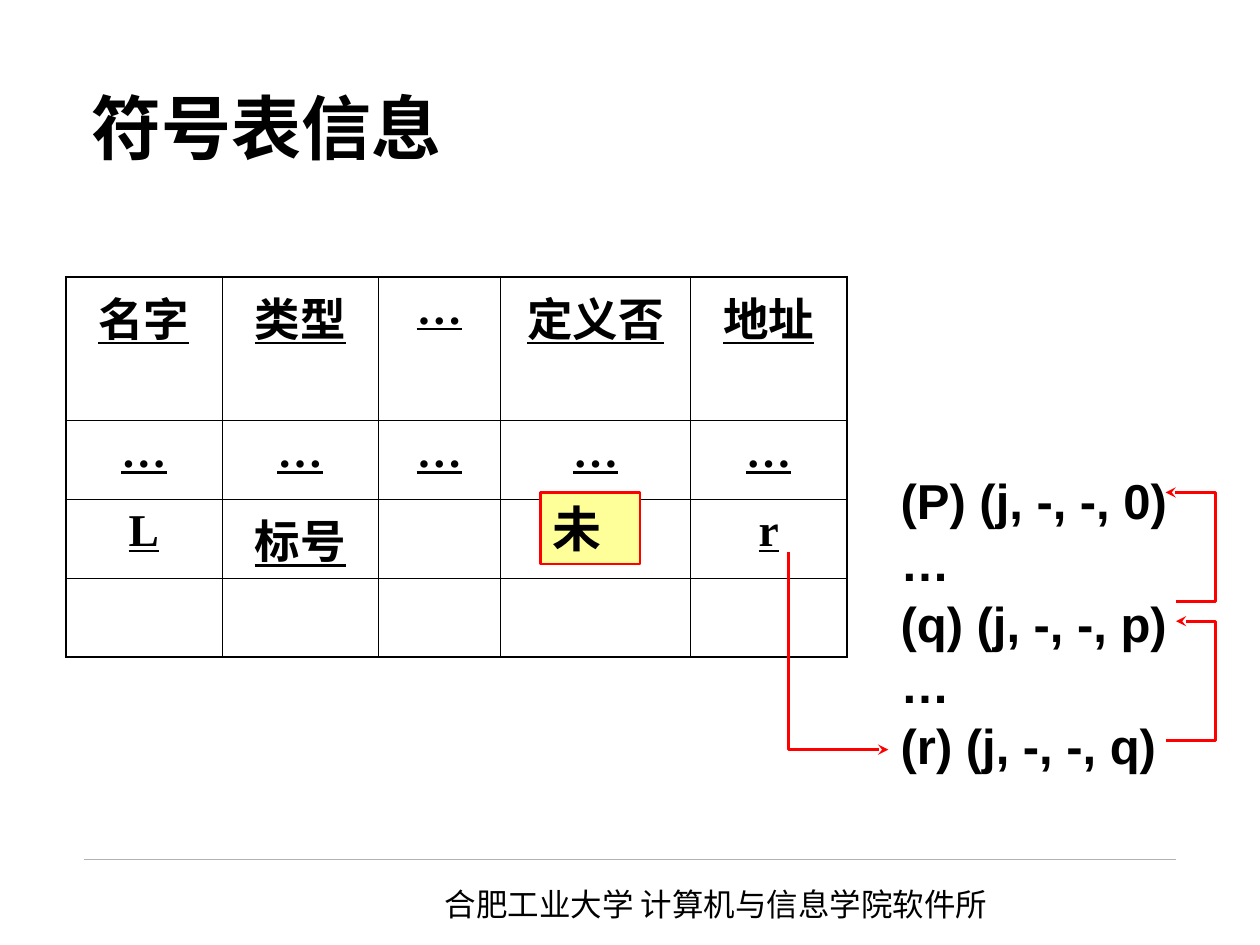
from lxml import etree
from pptx import Presentation
from pptx.dml.color import RGBColor
from pptx.enum.shapes import MSO_CONNECTOR, MSO_SHAPE
from pptx.enum.text import MSO_ANCHOR, PP_ALIGN
from pptx.oxml.ns import qn
from pptx.util import Pt

STRAIGHT = MSO_CONNECTOR.STRAIGHT
RECTANGLE = MSO_SHAPE.RECTANGLE
TOP, MIDDLE = MSO_ANCHOR.TOP, MSO_ANCHOR.MIDDLE
LEFT, CENTER = PP_ALIGN.LEFT, PP_ALIGN.CENTER
COLORS = {"text": "000000", "arrow": "FF0000", "mark": "FFFF99", "rule": "B2B2B2"}
CJK = "Noto Sans CJK SC"
TITLE = {"name": "DejaVu Sans", "size": Pt(40), "bold": True}
CELL = {"name": "Times New Roman", "size": Pt(26), "bold": True, "underline": True}
CODE = {"name": "Arial", "size": Pt(28), "bold": True}
FOOTER = {"name": CJK, "size": Pt(18)}
ROWS = [
    ["名字", "类型", "…", "定义否", "地址"],
    ["…"] * 5,
    ["L", "标号", "", "", "r"],
    [""] * 5,
]
COL_WIDTHS = [89.3, 89.3, 69.8, 108.7, 89.3]
ROW_HEIGHTS = [82, 45, 45, 45]
QUADS = ["(P) (j, -, -, 0)", "…", "(q) (j, -, -, p)", "…", "(r) (j, -, -, q)"]
ARROWS = [
    [(450.7, 315.4), (450.7, 428.4), (507.6, 428.4)],
    [(666, 423.2), (694.6, 423.2), (694.6, 355), (672, 355)],
    [(672, 343.6), (694.6, 343.6), (694.6, 281.4), (666, 281.4)],
]


class Painter:
    """Draws styled elements on the current slide."""

    def __init__(self, slide):
        self.s = slide

    def color(self, key):
        return RGBColor.from_string(COLORS[key])

    def fill_text(self, tf, lines, style, anchor=TOP, align=None, spacing=None):
        tf.word_wrap = True
        tf.vertical_anchor = anchor
        for i, line in enumerate(lines):
            p = tf.add_paragraph() if i else tf.paragraphs[0]
            p.alignment = align
            p.line_spacing = spacing
            r = p.add_run()
            r.text = line
            for name, value in style.items():
                setattr(r.font, name, value)
            r.font.color.rgb = self.color("text")
            etree.SubElement(r._r.get_or_add_rPr(), qn("a:ea"), typeface=CJK)

    def text(self, box, lines, style, **layout):
        sp = self.s.shapes.add_textbox(*map(Pt, box))
        self.fill_text(sp.text_frame, lines, style, **layout)

    def outline(self, sp, key, width):
        sp.line.color.rgb = self.color(key)
        sp.line.width = Pt(width)

    def rule(self, x1, y1, x2, y2):
        sp = self.s.shapes.add_connector(STRAIGHT, Pt(x1), Pt(y1), Pt(x2), Pt(y2))
        self.outline(sp, "rule", 0.25)
        etree.SubElement(sp._element.spPr, qn("a:effectLst"))

    def mark(self, box, label):
        sp = self.s.shapes.add_shape(RECTANGLE, *map(Pt, box))
        sp.shadow.inherit = False
        sp.fill.solid()
        sp.fill.fore_color.rgb = self.color("mark")
        self.outline(sp, "arrow", 1.5)
        self.fill_text(sp.text_frame, [label], CODE, align=LEFT)

    def arrow(self, points):
        start, *rest = [(Pt(x), Pt(y)) for x, y in points]
        fb = self.s.shapes.build_freeform(*start)
        fb.add_line_segments(rest, close=False)
        sp = fb.convert_to_shape()
        sp.shadow.inherit = False
        sp.fill.background()
        self.outline(sp, "arrow", 1.75)
        ln = sp._element.spPr.find(qn("a:ln"))
        etree.SubElement(ln, qn("a:tailEnd"), type="stealth")

    def border(self, cell, outer):
        tc_pr = cell._tc.get_or_add_tcPr()
        for i, (side, thick) in enumerate(outer.items()):
            width = Pt(1.08 if thick else 0.45)
            ln = etree.Element(qn(f"a:ln{side}"), w=str(width))
            fill = etree.SubElement(ln, qn("a:solidFill"))
            etree.SubElement(fill, qn("a:srgbClr"), val=COLORS["text"])
            tc_pr.insert(i, ln)

    def table(self, left, top, rows, widths, heights):
        n_rows, n_cols = len(rows), len(widths)
        size = Pt(sum(widths)), Pt(sum(heights))
        table = self.s.shapes.add_table(n_rows, n_cols, Pt(left), Pt(top), *size).table
        table.first_row = table.horz_banding = False
        for col, width in zip(table.columns, widths):
            col.width = Pt(width)
        for i, (row, height) in enumerate(zip(rows, heights)):
            table.rows[i].height = Pt(height)
            for j, label in enumerate(row):
                cell = table.cell(i, j)
                cell.fill.background()
                self.border(cell, {"L": j == 0, "R": j == n_cols - 1,
                                   "T": i == 0, "B": i == n_rows - 1})
                if label:
                    self.fill_text(cell.text_frame, [label], CELL, align=CENTER)


def main():
    prs = Presentation()
    prs.slide_width, prs.slide_height = Pt(720), Pt(540)
    painter = Painter(prs.slides.add_slide(prs.slide_layouts[6]))
    painter.rule(48, 491, 672, 491)
    painter.text((247, 502, 363, 29), ["合肥工业大学 计算机与信息学院软件所"], FOOTER)
    painter.text((45.4, 24, 630, 96), ["符号表信息"], TITLE, anchor=MIDDLE)
    painter.table(37.6, 158.4, ROWS, COL_WIDTHS, ROW_HEIGHTS)
    painter.text((507.6, 264.2, 212.4, 209), QUADS, CODE, spacing=1.04)
    for points in ARROWS:
        painter.arrow(points)
    painter.mark((308.8, 281.4, 57, 41), "未")
    prs.save("out.pptx")


if __name__ == "__main__":
    main()
